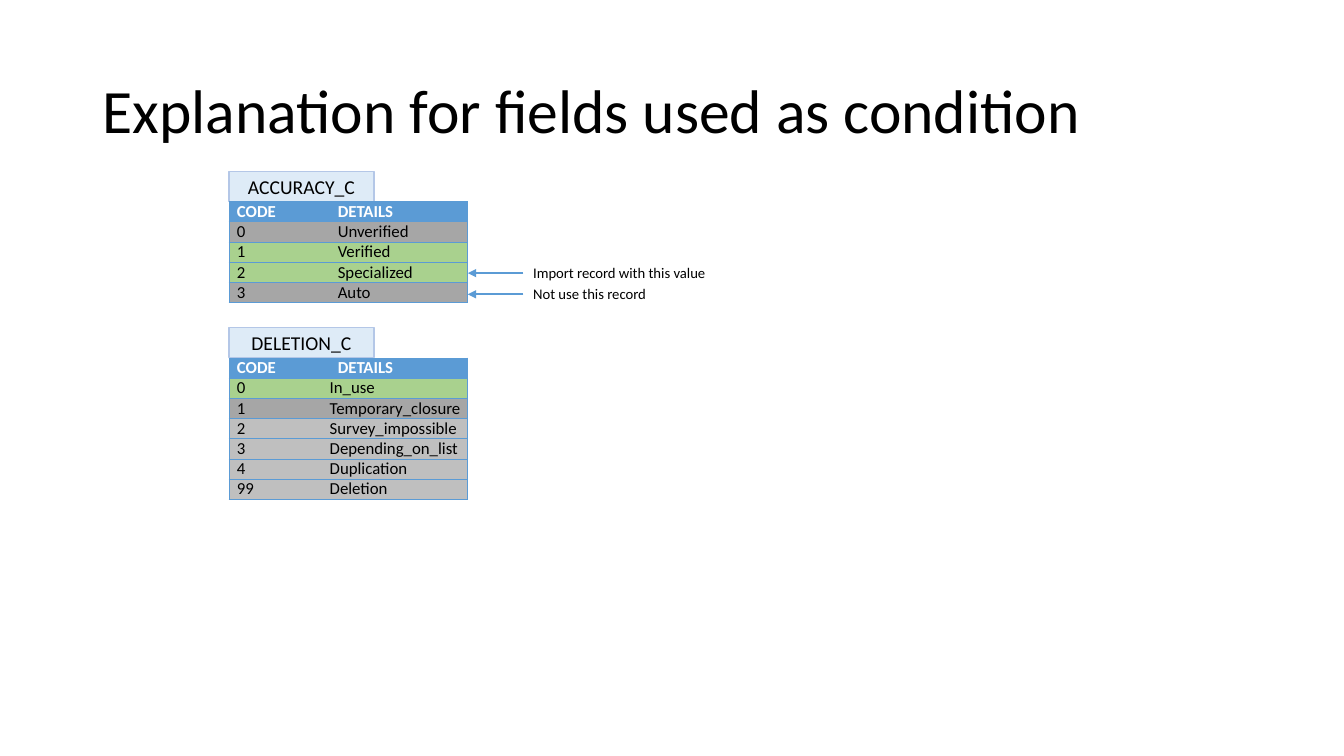
from lxml import etree
from pptx import Presentation
from pptx.dml.color import RGBColor
from pptx.enum.shapes import MSO_CONNECTOR as LINE, MSO_SHAPE as SHAPE
from pptx.enum.text import MSO_ANCHOR as ANCHOR, MSO_AUTO_SIZE as AUTO, PP_ALIGN as ALIGN
from pptx.oxml.ns import qn
from pptx.util import Inches, Pt

BLACK = RGBColor(0, 0, 0)
WHITE = RGBColor(255, 255, 255)
BLUE = RGBColor(0x5B, 0x9B, 0xD5)
PALE = RGBColor(0xDE, 0xEB, 0xF7)
EDGE = RGBColor(0xB4, 0xC7, 0xE7)
GREEN = RGBColor(0xA9, 0xD1, 0x8E)
GREY = RGBColor(0xA6, 0xA6, 0xA6)
LIGHT = RGBColor(0xBF, 0xBF, 0xBF)

TITLE = "Explanation for fields used as condition"
HEAD = ("CODE", "DETAILS", BLUE)
# name, top, indent of the details, their anchor, rows
FIELDS = [
    ("ACCURACY_C", 1.7, 0.08, ANCHOR.MIDDLE, [
        ("0", "Unverified", GREY),
        ("1", "Verified", GREEN),
        ("2", "Specialized", GREEN),
        ("3", "Auto", GREY),
    ]),
    ("DELETION_C", 3.25, 0, ANCHOR.BOTTOM, [
        ("0", "In_use", GREEN),
        ("1", "Temporary_closure", GREY),
        ("2", "Survey_impossible", LIGHT),
        ("3", "Depending_on_list", LIGHT),
        ("4", "Duplication", LIGHT),
        ("99", "Deletion", LIGHT),
    ]),
]
NOTES = [("Import record with this value", 2.71, 1.94),
         ("Not use this record", 2.92, 1.74)]

LEFT, TAG_W, TAG_H = 2.27, 1.44, 0.3
COLS, ROW = (1, 1.37), 0.2
INDENT = 0.08
RIGHT = LEFT + sum(COLS)
NOTE_X, NOTE_H = 5.19, 0.28


def write(frame, text, size, color=BLACK, bold=False, align=ALIGN.LEFT):
    para = frame.paragraphs[0]
    para.alignment = align
    run = para.add_run()
    run.text = text
    look = {"name": "Calibri", "size": Pt(size), "bold": bold}
    for key, value in look.items():
        setattr(run.font, key, value)
    run.font.color.rgb = color
    return para


def add_text(slide, box, text, size):
    frame = slide.shapes.add_textbox(*map(Inches, box)).text_frame
    frame.word_wrap = True
    return frame, write(frame, text, size)


def add_tag(slide, name, top):
    tag = slide.shapes.add_shape(
        SHAPE.RECTANGLE, *map(Inches, (LEFT, top, TAG_W, TAG_H)))
    tag.shadow.inherit = False
    tag.fill.solid()
    tag.fill.fore_color.rgb = PALE
    tag.line.color.rgb = EDGE
    tag.line.width = Pt(1)
    tag.text_frame.vertical_anchor = ANCHOR.MIDDLE
    write(tag.text_frame, name, 14, align=ALIGN.CENTER)


def add_edges(cell, sides):
    """Draw the given sides of a cell in thin blue and blank the rest."""
    props = cell._tc.get_or_add_tcPr()
    for side in "LRTB":
        line = etree.SubElement(props, qn("a:ln" + side), w=str(Pt(0.5)))
        if side in sides:
            fill = etree.SubElement(line, qn("a:solidFill"))
            etree.SubElement(fill, qn("a:srgbClr"), val=str(BLUE))
        else:
            etree.SubElement(line, qn("a:noFill"))


def add_codes(slide, top, indent, anchor, rows):
    rows = [HEAD] + rows
    box = (LEFT, top, sum(COLS), ROW * len(rows))
    table = slide.shapes.add_table(
        len(rows), len(COLS), *map(Inches, box)).table
    for col, width in zip(table.columns, COLS):
        col.width = Inches(width)
    for r, (code, detail, color) in enumerate(rows):
        table.rows[r].height = Inches(ROW)
        head = r == 0
        for c, text in enumerate((code, detail)):
            cell = table.cell(r, c)
            plain = head or c == 0
            look = {
                "margin_left": Inches(INDENT if plain else indent),
                "margin_right": 0, "margin_top": 0, "margin_bottom": 0,
                "vertical_anchor": ANCHOR.MIDDLE if plain else anchor,
            }
            for key, value in look.items():
                setattr(cell, key, value)
            add_edges(cell, "RTB" if c else "LTB")
            cell.fill.solid()
            cell.fill.fore_color.rgb = color
            write(cell.text_frame, text, 12, WHITE if head else BLACK, head)


def add_arrow(slide, y):
    ends = map(Inches, (NOTE_X, y, RIGHT, y))
    arrow = slide.shapes.add_connector(LINE.STRAIGHT, *ends)
    arrow.line.color.rgb = BLUE
    arrow.line.width = Pt(1.5)
    props = arrow._element.spPr
    etree.SubElement(props.find(qn("a:ln")), qn("a:tailEnd"), type="triangle")
    etree.SubElement(props, qn("a:effectLst"))


def main():
    deck = Presentation()
    deck.slide_width, deck.slide_height = Inches(13.33), Inches(7.5)
    slide = deck.slides.add_slide(deck.slide_layouts[6])

    frame, para = add_text(slide, (0.92, 0.4, 11.5, 1.45), TITLE, 44)
    frame.vertical_anchor = ANCHOR.MIDDLE
    para.line_spacing = 0.9

    for name, top, indent, anchor, rows in FIELDS:
        add_tag(slide, name, top)
        add_codes(slide, top + TAG_H, indent, anchor, rows)

    for text, y, width in NOTES:
        add_arrow(slide, y)
        box = (NOTE_X, y - NOTE_H / 2, width, NOTE_H)
        frame, _ = add_text(slide, box, text, 10.5)
        frame.auto_size = AUTO.SHAPE_TO_FIT_TEXT

    deck.save("out.pptx")


if __name__ == "__main__":
    main()
